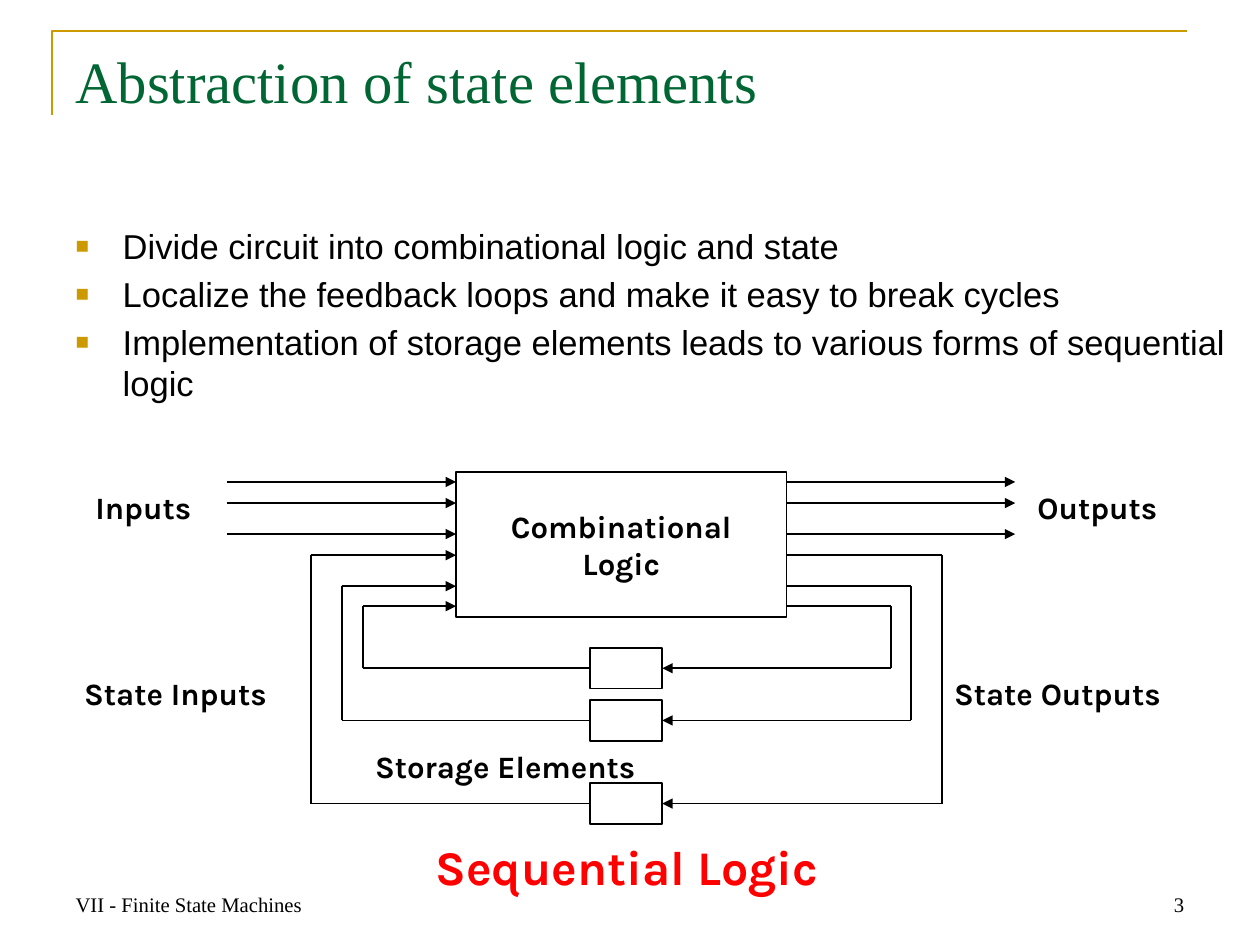
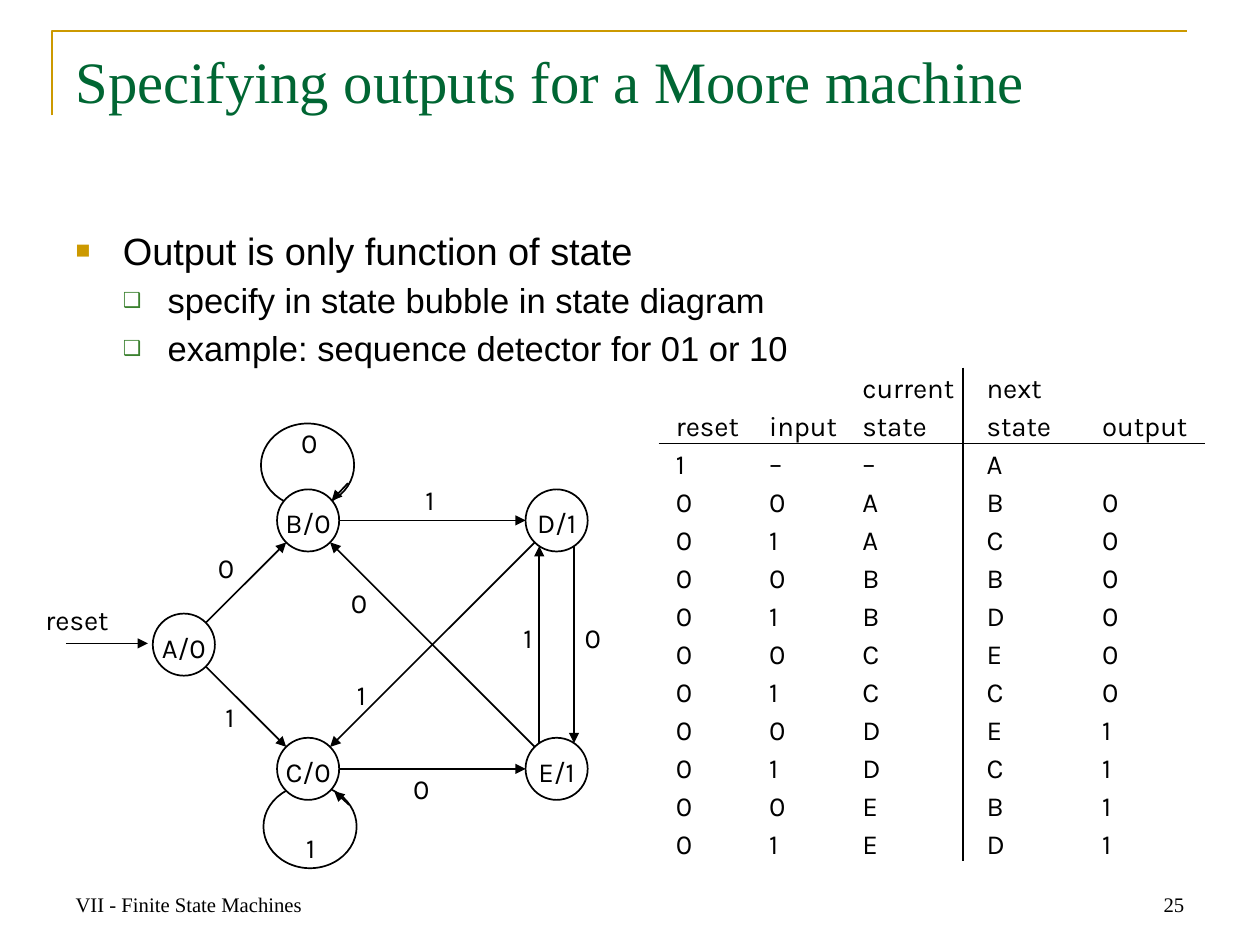
import math
from dataclasses import dataclass
from typing import Any

from lxml import etree
from pptx import Presentation
from pptx import util as u
from pptx.dml.color import RGBColor
from pptx.enum import shapes, text
from pptx.oxml import ns

Inches, Pt = u.Inches, u.Pt
BLACK = RGBColor(0x00, 0x00, 0x00)
WHITE = RGBColor(0xFF, 0xFF, 0xFF)
GOLD = RGBColor(0xCC, 0x99, 0x00)
TITLE_GREEN = RGBColor(0x00, 0x66, 0x33)
BULLET_GREEN = RGBColor(0x3B, 0x81, 0x2F)
RED = RGBColor(0xFF, 0x00, 0x00)
SERIF, SANS, DIAGRAM = "Times New Roman", "Arial", "Karla"

LEFT, CENTER, RIGHT = text.PP_ALIGN.LEFT, text.PP_ALIGN.CENTER, text.PP_ALIGN.RIGHT
TOP, MIDDLE, BOTTOM = text.MSO_ANCHOR.TOP, text.MSO_ANCHOR.MIDDLE, text.MSO_ANCHOR.BOTTOM
RECT, OVAL = shapes.MSO_SHAPE.RECTANGLE, shapes.MSO_SHAPE.OVAL

LINE_PITCH = 22  # points between lines of diagram and table text
NO_GRID_STYLE = "{2D5ABB26-0587-4C30-8999-92F81FD0307C}"
# Per level: glyph, colour, size in percent, left margin, hanging indent
BULLETS = [("■", GOLD, 65, 0.38, 0.38), ("❑", BULLET_GREEN, 60, 0.74, 0.36)]


@dataclass
class Style:
    font: str
    size: float
    color: RGBColor = BLACK
    bold: bool = False
    align: Any = LEFT
    anchor: Any = TOP
    pitch: float = 0


TITLE = Style(SERIF, 34, TITLE_GREEN)
FOOTER = Style(SERIF, 12, anchor=BOTTOM)
PAGE_NUMBER = Style(SERIF, 12, align=RIGHT, anchor=BOTTOM)
LABEL = Style(DIAGRAM, 18, bold=True)
BLOCK = Style(DIAGRAM, 18, bold=True, align=CENTER, anchor=MIDDLE)
CAPTION = Style(DIAGRAM, 28, RED, bold=True, align=CENTER)
STATE = Style(DIAGRAM, 16, align=CENTER, anchor=MIDDLE, pitch=LINE_PITCH)
CELL = Style(DIAGRAM, 16, anchor=BOTTOM, pitch=LINE_PITCH)


# Text
def add_span(para, words, style):
    span = para.add_run()
    span.text = words
    span.font.name, span.font.size = style.font, Pt(style.size)
    span.font.bold, span.font.color.rgb = style.bold, style.color


def write(frame, words, style):
    para = frame.paragraphs[0]
    para.alignment = style.align
    if style.pitch:
        para.line_spacing = Pt(style.pitch)
    for number, line in enumerate(words.split("\n")):
        if number:
            para.add_line_break()
        if line:
            add_span(para, line, style)


def set_bullet(para, level):
    glyph, color, percent, margin, hanging = BULLETS[level]
    props = para._p.get_or_add_pPr()
    props.set("marL", str(Inches(margin)))
    props.set("indent", str(-Inches(hanging)))
    tint = etree.SubElement(props, ns.qn("a:buClr"))
    etree.SubElement(tint, ns.qn("a:srgbClr"), val=str(color))
    etree.SubElement(props, ns.qn("a:buSzPct"), val=str(percent * 1000))
    etree.SubElement(props, ns.qn("a:buFont"), typeface=SANS)
    etree.SubElement(props, ns.qn("a:buChar"), char=glyph)


@dataclass
class Region:
    """An area of a page; lengths in inches count from its top left corner."""
    page: Any
    left: float = 0
    top: float = 0

    def place(self, x, y):
        return Inches(self.left + x), Inches(self.top + y)

    def text(self, x, y, width, height, words, style, wrap=True):
        box = self.page.shapes.add_textbox(*self.place(x, y), Inches(width), Inches(height))
        box.text_frame.word_wrap = wrap
        box.text_frame.vertical_anchor = style.anchor
        write(box.text_frame, words, style)

    def shape(self, kind, x, y, width, height, words="", style=BLOCK, fill=None):
        box = self.page.shapes.add_shape(kind, *self.place(x, y), Inches(width), Inches(height))
        box.shadow.inherit = False
        box.line.color.rgb, box.line.width = BLACK, Pt(1)
        if fill is None:
            box.fill.background()
        else:
            box.fill.solid()
            box.fill.fore_color.rgb = fill
        if words:
            box.text_frame.word_wrap = False
            box.text_frame.vertical_anchor = style.anchor
            write(box.text_frame, words, style)
        return box

    def line(self, *points, arrow=True):
        """Joins the points by straight legs; the last leg may end in an arrow."""
        for start, end in zip(points, points[1:]):
            leg = self.page.shapes.add_connector(
                shapes.MSO_CONNECTOR.STRAIGHT, *self.place(*start), *self.place(*end))
            leg.line.color.rgb, leg.line.width = BLACK, Pt(1)
            props = leg._element.spPr
            if arrow and end is points[-1]:
                etree.SubElement(leg.line._get_or_add_ln(), ns.qn("a:tailEnd"), type="triangle")
            etree.SubElement(props, ns.qn("a:effectLst"))


# Parts shared by the slides
def new_page(deck, title, number):
    page = deck.slides.add_slide(deck.slide_layouts[6])
    corner = [(Inches(x), Inches(y)) for x, y in ((0.42, 0.93), (0.42, 0.25), (9.55, 0.25))]
    builder = page.shapes.build_freeform(*corner[0])
    builder.add_line_segments(corner[1:], close=False)
    band = builder.convert_to_shape()
    band.shadow.inherit = False
    band.fill.background()
    band.line.color.rgb, band.line.width = GOLD, Pt(1.5)
    whole = Region(page)
    whole.text(0.51, 6.92, 2.37, 0.51, "VII - Finite State Machines", FOOTER)
    whole.text(7.26, 6.92, 2.37, 0.51, str(number), PAGE_NUMBER)
    whole.text(0.51, 0.31, 9.12, 1.26, title, TITLE)
    return page


def bullet_list(page, left, top, width, height, items):
    """Items are (level, size, words)."""
    box = page.shapes.add_textbox(Inches(left), Inches(top), Inches(width), Inches(height))
    frame = box.text_frame
    frame.word_wrap = True
    for number, (level, size, words) in enumerate(items):
        para = frame.add_paragraph() if number else frame.paragraphs[0]
        para.level = level
        if number:
            para.space_before = Pt(round(0.19 * size, 1))
        set_bullet(para, level)
        add_span(para, words, Style(SANS, size))


# Slide 1: combinational logic with feedback through storage
def block_diagram(page, left, top):
    area = Region(page, left, top)
    logic_left, logic_right = 3.17, 5.83
    store_left, store_right, store_height = 4.25, 4.83, 0.33
    area.shape(RECT, logic_left, 0, logic_right - logic_left, 1.17, "Combinational\nLogic")
    for y in (0.08, 0.25, 0.5):
        for x in (logic_left - 1.84, logic_right):
            area.line((x, y), (x + 1.84, y))
    # Each loop: port height, storage height, outer left and right
    for port, store, outer_left, outer_right in (
            (1.08, 1.58, 2.42, 6.67), (0.92, 2, 2.25, 6.83), (0.67, 2.67, 2, 7.08)):
        area.shape(RECT, store_left, store - store_height / 2,
                   store_right - store_left, store_height)
        area.line((logic_right, port), (outer_right, port), (outer_right, store),
                  (store_right, store))
        area.line((store_left, store), (outer_left, store), (outer_left, port),
                  (logic_left, port))
    for x, y, width, words in (
            (0.17, 0.08, 1.03, "Inputs"), (7.75, 0.08, 1.21, "Outputs"),
            (0.08, 1.58, 1.77, "State Inputs"), (7.08, 1.58, 1.95, "State Outputs"),
            (2.42, 2.17, 2.41, "Storage Elements")):
        area.text(x, y, width, 0.4, words, LABEL, wrap=False)
    area.text(2.01, 2.89, 5.07, 0.57, "Sequential Logic", CAPTION)


# Slide 2: state diagram and transition table
def state_diagram(page, left, top):
    area = Region(page, left, top)
    radius = 0.25
    centers = {"A/0": (1.48, 2), "B/0": (2.48, 1), "C/0": (2.48, 3),
               "D/1": (4.48, 1), "E/1": (4.48, 3)}

    def mark(x, y, words):
        """Centres a label that is wide enough for one line of a short word."""
        area.text(x - 0.5, y - 0.18, 1, 0.36, words, STATE, wrap=False)

    def edge(source, target, shift):
        """Runs from rim to rim, moved sideways by shift."""
        (x1, y1), (x2, y2) = centers[source], centers[target]
        length = math.hypot(x2 - x1, y2 - y1)
        ux, uy = (x2 - x1) / length, (y2 - y1) / length
        reach = math.sqrt(radius ** 2 - shift ** 2)
        side_x, side_y = uy * shift, -ux * shift
        area.line((x1 + ux * reach + side_x, y1 + uy * reach + side_y),
                  (x2 - ux * reach + side_x, y2 - uy * reach + side_y))

    # Self loops lie behind the states
    for x, y, start, end in ((2.1, 0.22, (2.8, 0.7), (2.67, 0.84)),
                             (2.12, 3.13, (2.81, 3.29), (2.69, 3.18))):
        area.shape(OVAL, x, y, 0.75, 0.67)
        area.line(start, end)
    mark(2.49, 0.35, "0")
    mark(2.5, 3.61, "1")
    for name, (x, y) in centers.items():
        bubble = area.shape(OVAL, x - radius, y - radius, 2 * radius, 2 * radius,
                            name, STATE, WHITE)
        frame = bubble.text_frame
        frame.margin_left = frame.margin_right = frame.margin_top = frame.margin_bottom = 0
    for source, target, shift, x, y, words in (
            ("A/0", "B/0", 0, 1.82, 1.36, "0"), ("A/0", "C/0", 0, 1.85, 2.56, "1"),
            ("B/0", "D/1", 0, 3.46, 0.81, "1"), ("C/0", "E/1", 0, 3.39, 3.14, "0"),
            ("E/1", "B/0", 0, 2.89, 1.64, "0"), ("D/1", "C/0", 0, 2.91, 2.38, "1"),
            ("D/1", "E/1", 0.14, 4.77, 1.92, "0"), ("E/1", "D/1", 0.14, 4.25, 1.92, "1")):
        edge(source, target, shift)
        mark(x, y, words)
    area.line((0.53, 1.99), (1.19, 1.99))
    mark(0.62, 1.78, "reset")


def transition_table(page, left, top):
    header = ["reset", "input", "current\nstate", "next\nstate", "output"]
    body = "1––A 00AB0 01AC0 00BB0 01BD0 00CE0 01CC0 00DE1 01DC1 00EB1 01ED1"
    rows = [header] + [list(row.ljust(5)) for row in body.split()]
    widths = [0.75, 0.75, 1, 0.93, 0.97]
    pitch = LINE_PITCH / 72
    heights = [2 * pitch] + [pitch] * (len(rows) - 1)
    area = Region(page, left, top)
    holder = page.shapes.add_table(len(rows), len(widths), *area.place(0, 0),
                                   Inches(sum(widths)), Inches(sum(heights)))
    table = holder.table
    table.first_row = table.horz_banding = False
    table._tbl.tblPr.find(ns.qn("a:tableStyleId")).text = NO_GRID_STYLE
    for column, width in zip(table.columns, widths):
        column.width = Inches(width)
    for row, height, values in zip(table.rows, heights, rows):
        row.height = Inches(height)
        for cell, value in zip(row.cells, values):
            cell.fill.background()
            cell.margin_left = Inches(0.14)
            cell.margin_right = cell.margin_top = cell.margin_bottom = 0
            cell.vertical_anchor = CELL.anchor
            write(cell.text_frame, value.strip(), CELL)
    area.line((0, 0.61), (4.4, 0.61), arrow=False)
    area.line((2.45, 0), (2.45, 3.97), arrow=False)


def main():
    deck = Presentation()
    deck.slide_width, deck.slide_height = Inches(10.14), Inches(7.6)

    page = new_page(deck, "Abstraction of state elements", 3)
    bullet_list(page, 0.51, 1.76, 9.63, 4.94, [
        (0, 20, "Divide circuit into combinational logic and state"),
        (0, 20, "Localize the feedback loops and make it easy to break cycles"),
        (0, 20, "Implementation of storage elements leads to various forms of "
                "sequential logic")])
    block_diagram(page, 0.5, 3.8)

    page = new_page(deck, "Specifying outputs for a Moore machine", 25)
    state_diagram(page, 0, 3.19)
    transition_table(page, 5.3, 2.96)
    bullet_list(page, 0.51, 1.78, 9.12, 5.02, [
        (0, 22, "Output is only function of state"),
        (1, 20, "specify in state bubble in state diagram"),
        (1, 20, "example: sequence detector for 01 or 10")])

    deck.save("out.pptx")


if __name__ == "__main__":
    main()
